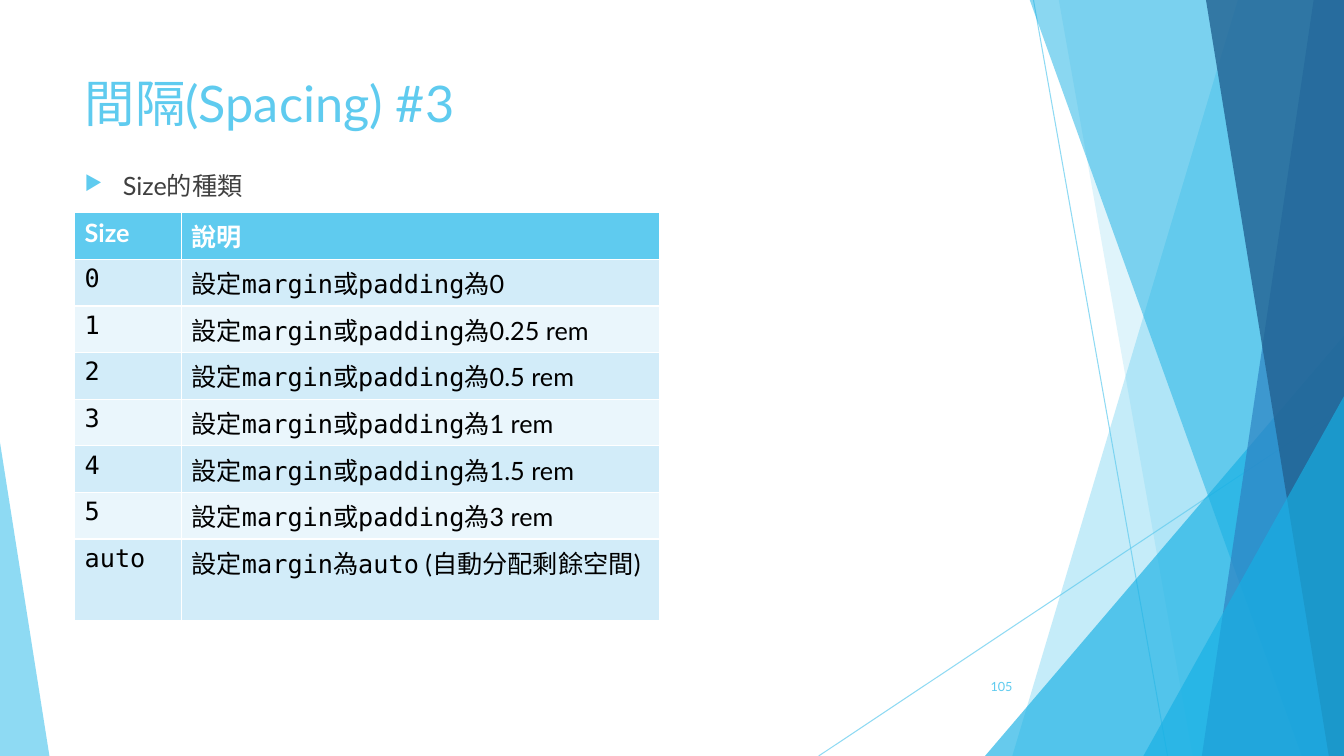
from lxml import etree
from pptx import Presentation
from pptx.dml.color import RGBColor
from pptx.enum.shapes import MSO_CONNECTOR, MSO_SHAPE
from pptx.enum.text import MSO_ANCHOR, PP_ALIGN
from pptx.oxml.ns import qn
from pptx.util import Pt

EMU_PER_PX = 9144
WIDTH, HEIGHT = 1333, 750
TITLE_ONLY = 5

STRAIGHT = MSO_CONNECTOR.STRAIGHT
TRIANGLE = MSO_SHAPE.ISOSCELES_TRIANGLE
TOP, MIDDLE = MSO_ANCHOR.TOP, MSO_ANCHOR.MIDDLE
LEFT, RIGHT = PP_ALIGN.LEFT, PP_ALIGN.RIGHT

SKY = RGBColor(0x5F, 0xCB, 0xEF)
CYAN = RGBColor(0x17, 0xB0, 0xE4)
BLUE = RGBColor(0x2E, 0x83, 0xC3)
NAVY = RGBColor(0x22, 0x62, 0x92)
BAND_DARK = RGBColor(0xD2, 0xEC, 0xF9)
BAND_LIGHT = RGBColor(0xEA, 0xF6, 0xFC)
GREY = RGBColor(0x40, 0x40, 0x40)
BLACK = RGBColor(0, 0, 0)
WHITE = RGBColor(0xFF, 0xFF, 0xFF)

SANS, MONO, SYMBOLS = "Lato", "DejaVu Sans Mono", "OpenSymbol"

LINES = [((1025, 0), (1158, HEIGHT)), ((WIDTH, 403), (812, HEIGHT))]

# Each band runs from its top-left corner to the right edge and back along the bottom.
BACK_BANDS = [(1228, 1004, SKY, 36), (1050, 1183, SKY, 20)]
FRONT_BANDS = [(1021, 1291, CYAN, 50), (1303, 1192, BLUE, 70), (1196, 1318, NAVY, 80)]

# Backticks enclose monospaced words.
SPACINGS = [("0", "0"), ("1", "0.25 rem"), ("2", "0.5 rem"),
            ("3", "1 rem"), ("4", "1.5 rem"), ("5", "3 rem")]
ROWS = [("Size", "說明")]
ROWS += [(f"`{size}`", f"設定`margin`或`padding`為{length}") for size, length in SPACINGS]
ROWS += [("`auto`", "設定`margin`為`auto` (自動分配剩餘空間)")]
SINGLE_ROWS_HEIGHT, WRAPPED_ROW_HEIGHT = 324, 81


def px(length):
    return length * EMU_PER_PX


def set_alpha(fill_parent, percent):
    """Make the solid colour inside an element partly transparent."""
    color = next(fill_parent.iter(qn("a:srgbClr")))
    etree.SubElement(color, qn("a:alpha"), val=str(percent * 1000))


def paint(shape, color, alpha):
    shape.shadow.inherit = False
    shape.line.fill.background()
    shape.fill.solid()
    shape.fill.fore_color.rgb = color
    set_alpha(shape.element.spPr, alpha)


def add_thin_line(slide, start, end):
    line = slide.shapes.add_connector(STRAIGHT, *map(px, start + end))
    line.line.color.rgb = SKY
    line.line.width = Pt(0.75)
    properties = line.element.spPr
    set_alpha(properties, 70)
    etree.SubElement(properties, qn("a:effectLst"))


def add_band(slide, top_x, bottom_x, color, alpha):
    builder = slide.shapes.build_freeform(top_x, -1, scale=EMU_PER_PX)
    builder.add_line_segments([(WIDTH, -1), (WIDTH, HEIGHT), (bottom_x, HEIGHT)])
    paint(builder.convert_to_shape(), color, alpha)


def add_corner_triangle(slide, left, top, width, apex, color, alpha):
    """Add a triangle standing on the bottom edge, its apex at 0 (left) to 1 (right)."""
    triangle = slide.shapes.add_shape(
        TRIANGLE, px(left), px(top), px(width), px(HEIGHT - top))
    triangle.adjustments[0] = apex
    paint(triangle, color, alpha)


def set_font(paragraph, size, color):
    font = paragraph.font
    font.name = SANS
    font.size = Pt(size)
    font.color.rgb = color


def add_title(slide, text):
    title = slide.shapes.title
    title.left, title.top, title.width, title.height = map(px, (74, 67, 940, 144))
    title.text_frame.text = text
    title.text_frame.vertical_anchor = TOP
    paragraph = title.text_frame.paragraphs[0]
    paragraph.alignment = LEFT
    set_font(paragraph, 36, SKY)


def add_text(slide, box, text, anchor, align):
    text_box = slide.shapes.add_textbox(*map(px, box))
    frame = text_box.text_frame
    frame.word_wrap = True
    frame.vertical_anchor = anchor
    paragraph = frame.paragraphs[0]
    paragraph.text = text
    paragraph.alignment = align
    return paragraph


def add_bullet(paragraph):
    properties = paragraph._p.get_or_add_pPr()
    properties.set("marL", str(px(38)))
    properties.set("indent", str(px(-38)))
    color = etree.SubElement(properties, qn("a:buClr"))
    etree.SubElement(color, qn("a:srgbClr"), val=str(SKY))
    etree.SubElement(properties, qn("a:buSzPct"), val="80000")
    etree.SubElement(properties, qn("a:buFont"), typeface=SYMBOLS)
    etree.SubElement(properties, qn("a:buChar"), char="▶")


def fill_cell(cell, text, fill, color, bold):
    cell.fill.solid()
    cell.fill.fore_color.rgb = fill
    paragraph = cell.text_frame.paragraphs[0]
    for index, part in enumerate(text.split("`")):
        if part:
            run = paragraph.add_run()
            run.text = part
            run.font.name = MONO if index % 2 else SANS
            run.font.size = Pt(18)
            run.font.bold = bold
            run.font.color.rgb = color


def add_size_table(slide):
    single_row_height = px(SINGLE_ROWS_HEIGHT) // (len(ROWS) - 1)
    frame = slide.shapes.add_table(
        len(ROWS), 2, px(74), px(211), px(580),
        px(SINGLE_ROWS_HEIGHT + WRAPPED_ROW_HEIGHT))
    table = frame.table
    for column, width in zip(table.columns, (106, 474)):
        column.width = px(width)
    for row_index, texts in enumerate(ROWS):
        table.rows[row_index].height = single_row_height
        header = row_index == 0
        fill = SKY if header else BAND_DARK if row_index % 2 else BAND_LIGHT
        color = WHITE if header else BLACK
        for column_index, text in enumerate(texts):
            fill_cell(table.cell(row_index, column_index), text, fill, color, header)
    table.rows[len(ROWS) - 1].height = px(WRAPPED_ROW_HEIGHT)


def add_decoration(slide):
    for start, end in LINES:
        add_thin_line(slide, start, end)
    for band in BACK_BANDS:
        add_band(slide, *band)
    add_corner_triangle(slide, 977, 333, 356, 1, CYAN, 66)
    for band in FRONT_BANDS:
        add_band(slide, *band)
    add_corner_triangle(slide, 1134, 393, 199, 1, CYAN, 66)
    add_corner_triangle(slide, 0, 439, 49, 0, SKY, 70)


def main():
    presentation = Presentation()
    presentation.slide_width, presentation.slide_height = px(WIDTH), px(HEIGHT)
    slide = presentation.slides.add_slide(presentation.slide_layouts[TITLE_ONLY])
    add_decoration(slide)
    add_title(slide, "間隔(Spacing) #3")
    kinds = add_text(slide, (74, 164, 940, 497), "Size的種類", TOP, LEFT)
    add_bullet(kinds)
    set_font(kinds, 18, GREY)
    number = add_text(slide, (939, 661, 75, 40), "105", MIDDLE, RIGHT)
    set_font(number, 9, SKY)
    add_size_table(slide)
    presentation.save("out.pptx")


if __name__ == "__main__":
    main()
